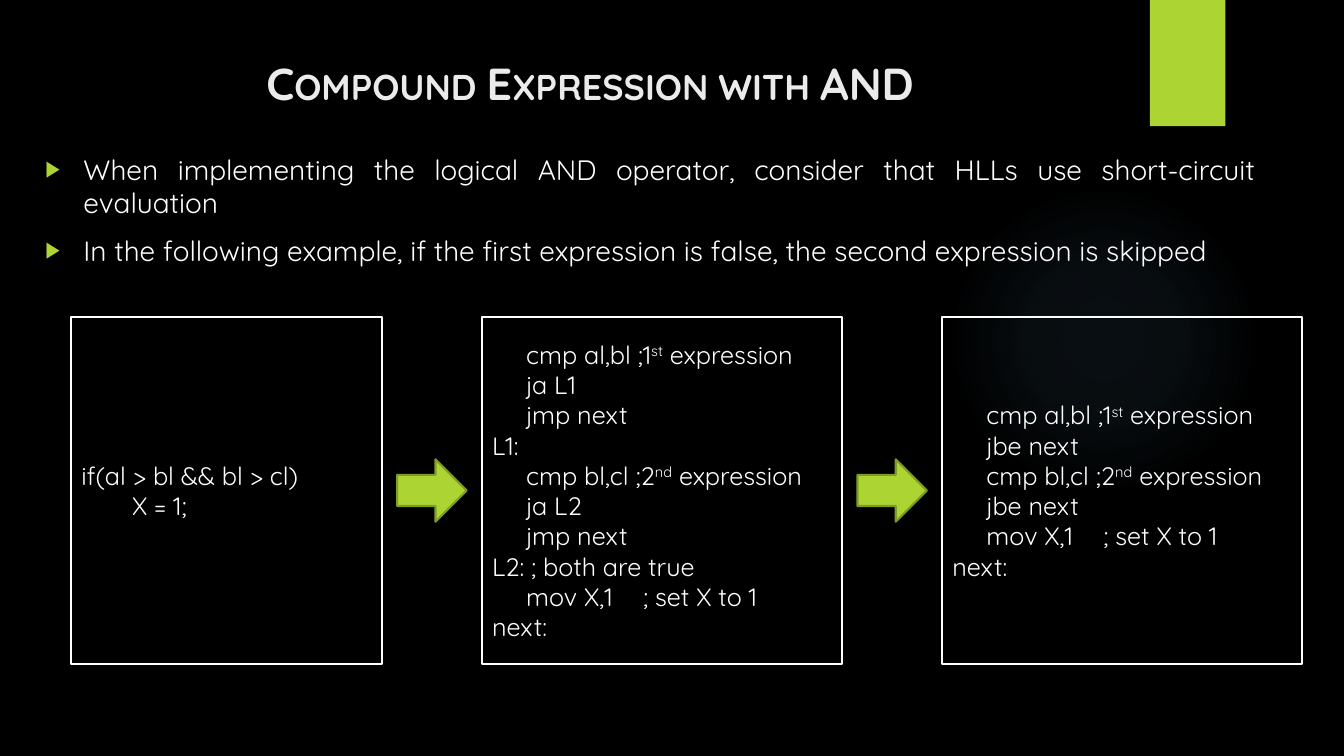
from dataclasses import dataclass

from lxml import etree
from pptx import Presentation
from pptx.dml.color import RGBColor
from pptx.enum.shapes import MSO_SHAPE as Preset
from pptx.enum.text import MSO_ANCHOR as Anchor, MSO_AUTO_SIZE as AutoSize, PP_ALIGN as Align
from pptx.oxml import parse_xml
from pptx.oxml.ns import nsdecls, qn
from pptx.util import Cm, Pt

FONT = "Quicksand"
WHITE, GREEN, DARK_GREEN = "FFFFFF", "ACD433", "7F9D26"
GLOW = "7AC4F0"
GLOW_STOPS = ((0, 7), (36, 6), (69, 0))  # position %, opacity %

# Flow of boxes and arrows, in centimetres
FLOW_LEFT, FLOW_TOP, FLOW_HEIGHT = 1.8, 7.98, 8.76
ARROW_WIDTH, ARROW_HEIGHT, GAP = 1.75, 1.57, 0.39


@dataclass
class Line:
    text: str  # parts between ^ signs are superscript
    indent: float = 0


@dataclass
class CodeBox:
    width: float
    lines: list[Line]


def op(text: str) -> Line:
    return Line(text, 0.86)


FIRST_TEST = op("cmp al,bl ;1^st^ expression")
SECOND_TEST = op("cmp bl,cl ;2^nd^ expression")
SET_X = op("mov X,1\t; set X to 1")
SKIP, JUMP = op("jbe next"), op("jmp next")
END = Line("next:")

CODE_BOXES = [
    CodeBox(7.82, [Line("if(al > bl && bl > cl)"), Line("X = 1;", 1.28)]),
    CodeBox(9.07, [FIRST_TEST, op("ja L1"), JUMP, Line("L1:"),
                   SECOND_TEST, op("ja L2"), JUMP,
                   Line("L2: ; both are true"), SET_X, END]),
    CodeBox(9.07, [FIRST_TEST, SKIP, SECOND_TEST, SKIP, SET_X, END]),
]

BULLETS = [
    "When implementing the logical AND operator, consider that HLLs use short-circuit evaluation",
    "In the following example, if the first expression is false, the second expression is skipped",
]


def colour(code: str) -> RGBColor:
    return RGBColor.from_string(code)


def style(font, size: float, code: str, bold: bool = False) -> None:
    font.name, font.size, font.bold = FONT, Pt(size), bold
    font.color.rgb = colour(code)


def place(shape, left: float, top: float, width: float, height: float) -> None:
    shape.left, shape.top = Cm(left), Cm(top)
    shape.width, shape.height = Cm(width), Cm(height)


def add_preset(page, preset, area: tuple, fill: str = "", line: str = ""):
    shape = page.shapes.add_shape(preset, *map(Cm, area))
    shape.shadow.inherit = False
    if fill:
        shape.fill.solid()
        shape.fill.fore_color.rgb = colour(fill)
    else:
        shape.fill.background()
    if line:
        shape.line.color.rgb = colour(line)
        shape.line.width = Pt(1.5)
    else:
        shape.line.fill.background()
    return shape


def add_glow(page) -> None:
    glow = add_preset(page, Preset.OVAL, (23.9, 4.65, 7.82, 7.82))
    stops = "".join(
        f'<a:gs pos="{position * 1000}"><a:srgbClr val="{GLOW}">'
        f'<a:alpha val="{opacity * 1000}"/></a:srgbClr></a:gs>'
        for position, opacity in GLOW_STOPS)
    gradient = parse_xml(
        f'<a:gradFill {nsdecls("a")}><a:gsLst>{stops}</a:gsLst><a:path path="circle">'
        '<a:fillToRect l="50000" t="50000" r="50000" b="50000"/></a:path></a:gradFill>')
    properties = glow.fill._xPr
    properties.replace(properties.find(qn("a:noFill")), gradient)


def add_bullet(para) -> None:
    properties = para._p.get_or_add_pPr()
    properties.set("marL", str(Cm(0.96)))
    properties.set("indent", str(-Cm(0.96)))
    marks = parse_xml(
        f'<a:pPr {nsdecls("a")}><a:buClr><a:srgbClr val="{GREEN}"/></a:buClr>'
        '<a:buSzPct val="80000"/><a:buFont typeface="Arial"/><a:buChar char="▶"/></a:pPr>')
    position = properties.index(properties.find(qn("a:defRPr")))
    properties[position:position] = list(marks)


def write_code(para, line: Line) -> None:
    para.alignment = Align.LEFT
    style(para.font, 18, WHITE)
    properties = para._p.get_or_add_pPr()
    properties.set("marL", "0")
    properties.set("indent", str(Cm(line.indent)))
    if "\t" in line.text:
        stops = etree.Element(qn("a:tabLst"))
        etree.SubElement(stops, qn("a:tab"), pos=str(Cm(3.73)), algn="l")
        properties.find(qn("a:defRPr")).addprevious(stops)
    for number, part in enumerate(line.text.split("^")):
        span = para.add_run()
        span.text = part
        if number % 2:
            span.font._rPr.set("baseline", "30000")


def add_code_box(page, left: float, code: CodeBox) -> None:
    box = add_preset(page, Preset.RECTANGLE, (left, FLOW_TOP, code.width, FLOW_HEIGHT), line=WHITE)
    frame = box.text_frame
    frame.word_wrap = True
    frame.vertical_anchor = Anchor.MIDDLE
    for number, line in enumerate(code.lines):
        write_code(frame.add_paragraph() if number else frame.paragraphs[0], line)


def write_title(page) -> None:
    title = page.shapes.title
    place(title, 1.8, 1.27, 26.14, 2.24)
    frame = title.text_frame
    frame.text = "Compound Expression with AND"
    frame.vertical_anchor = Anchor.TOP
    frame.auto_size = AutoSize.NONE
    para = frame.paragraphs[0]
    para.alignment = Align.CENTER
    style(para.font, 32, "EBEBEB", bold=True)
    para.font._rPr.set("cap", "small")


def write_body(page) -> None:
    body = page.placeholders[1]
    place(body, 0.89, 3.71, 31.01, 14.1)
    frame = body.text_frame
    frame.text = "\n".join(BULLETS)
    frame.auto_size = AutoSize.NONE
    for para in frame.paragraphs:
        para.alignment = Align.JUSTIFY
        para.space_before = Pt(10)
        style(para.font, 20, WHITE)
        add_bullet(para)


def main() -> None:
    deck = Presentation()
    deck.slide_width, deck.slide_height = Cm(33.87), Cm(19.05)
    page = deck.slides.add_slide(deck.slide_layouts[1])
    page.background.fill.solid()
    page.background.fill.fore_color.rgb = colour("000000")

    # Backdrop
    add_glow(page)
    add_preset(page, Preset.RECTANGLE, (28.98, 0, 1.9, 3.18), fill=GREEN)

    # Title and list
    write_title(page)
    write_body(page)

    # Code boxes joined by arrows
    left = FLOW_LEFT
    arrow_top = FLOW_TOP + (FLOW_HEIGHT - ARROW_HEIGHT) / 2
    for number, code in enumerate(CODE_BOXES):
        if number:
            add_preset(page, Preset.RIGHT_ARROW, (left, arrow_top, ARROW_WIDTH, ARROW_HEIGHT),
                       fill=GREEN, line=DARK_GREEN)
            left += ARROW_WIDTH + GAP
        add_code_box(page, left, code)
        left += code.width + GAP

    deck.save("out.pptx")


if __name__ == "__main__":
    main()
